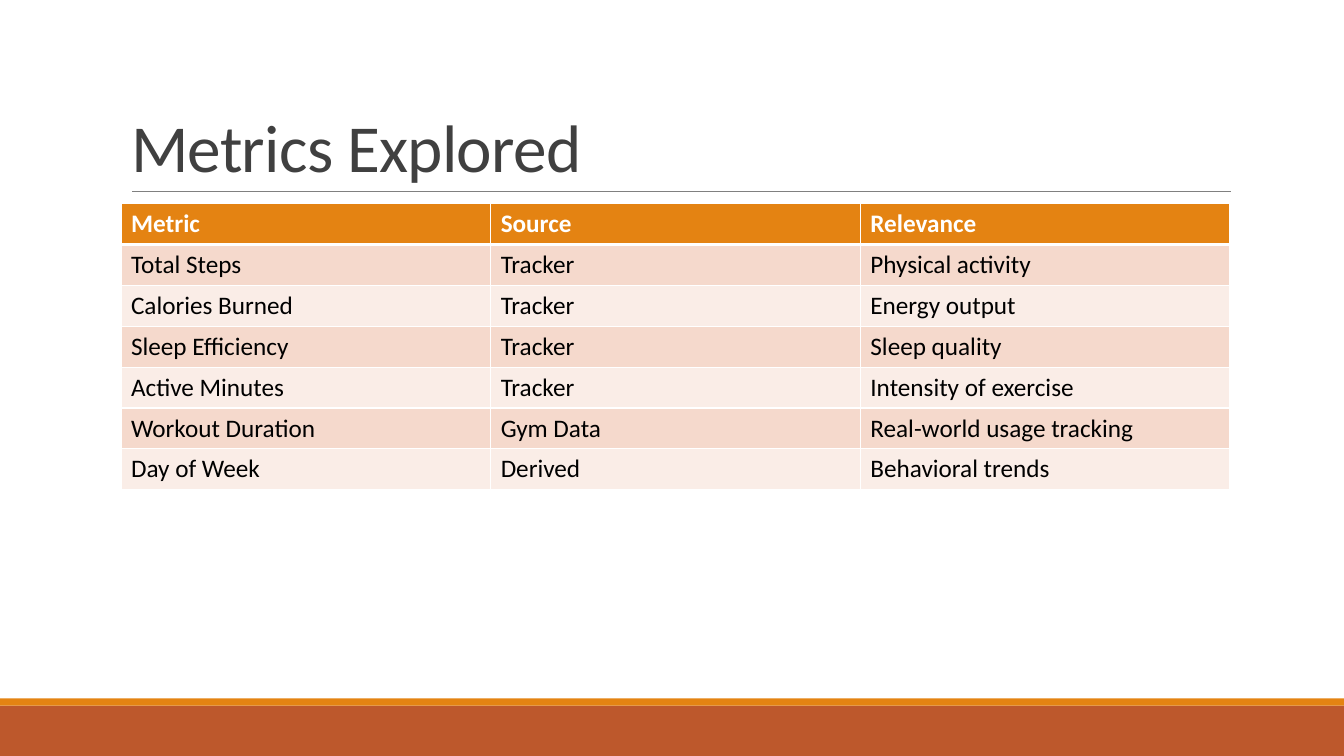
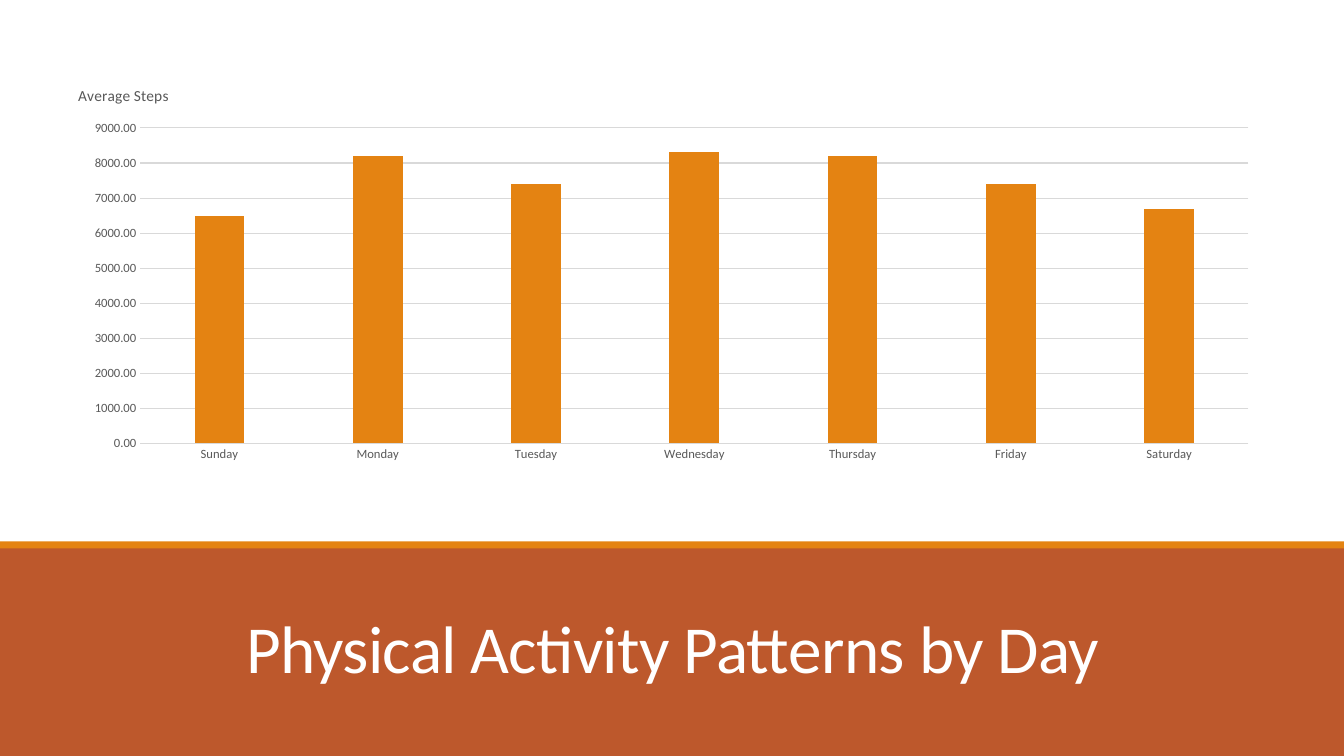
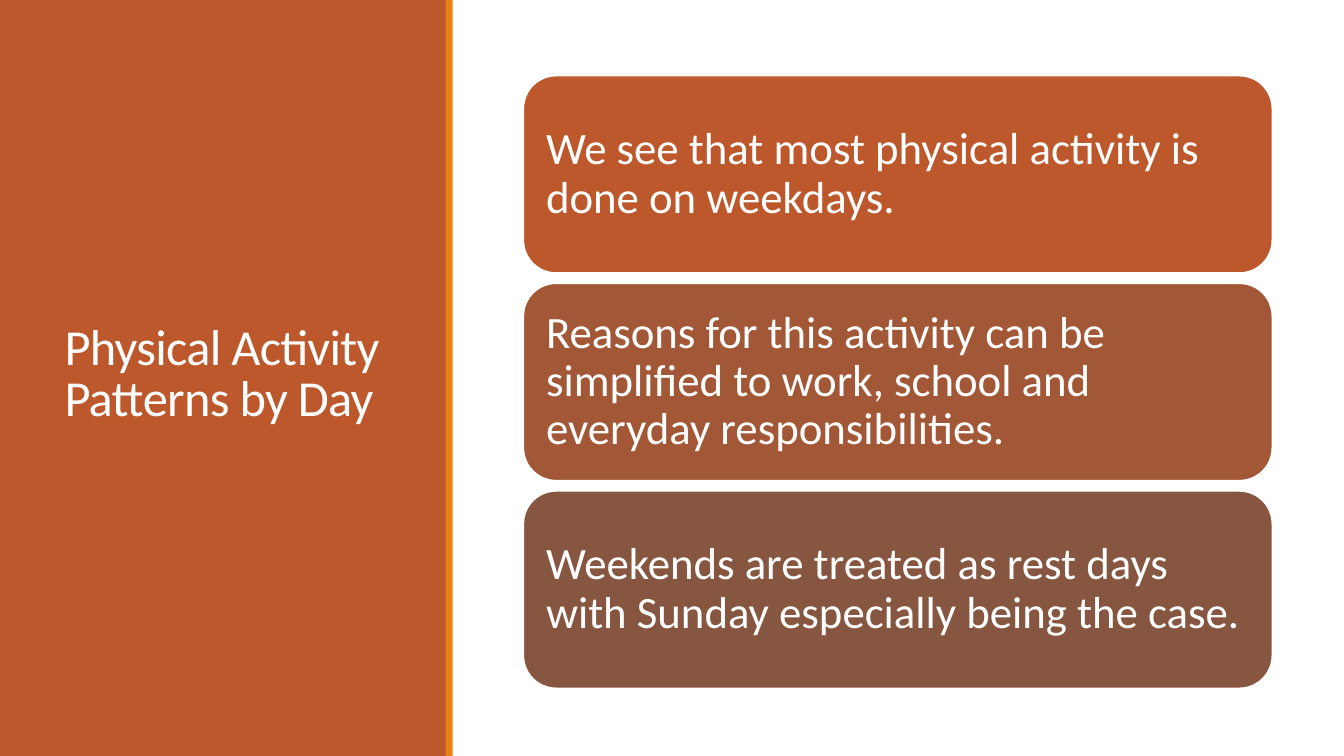
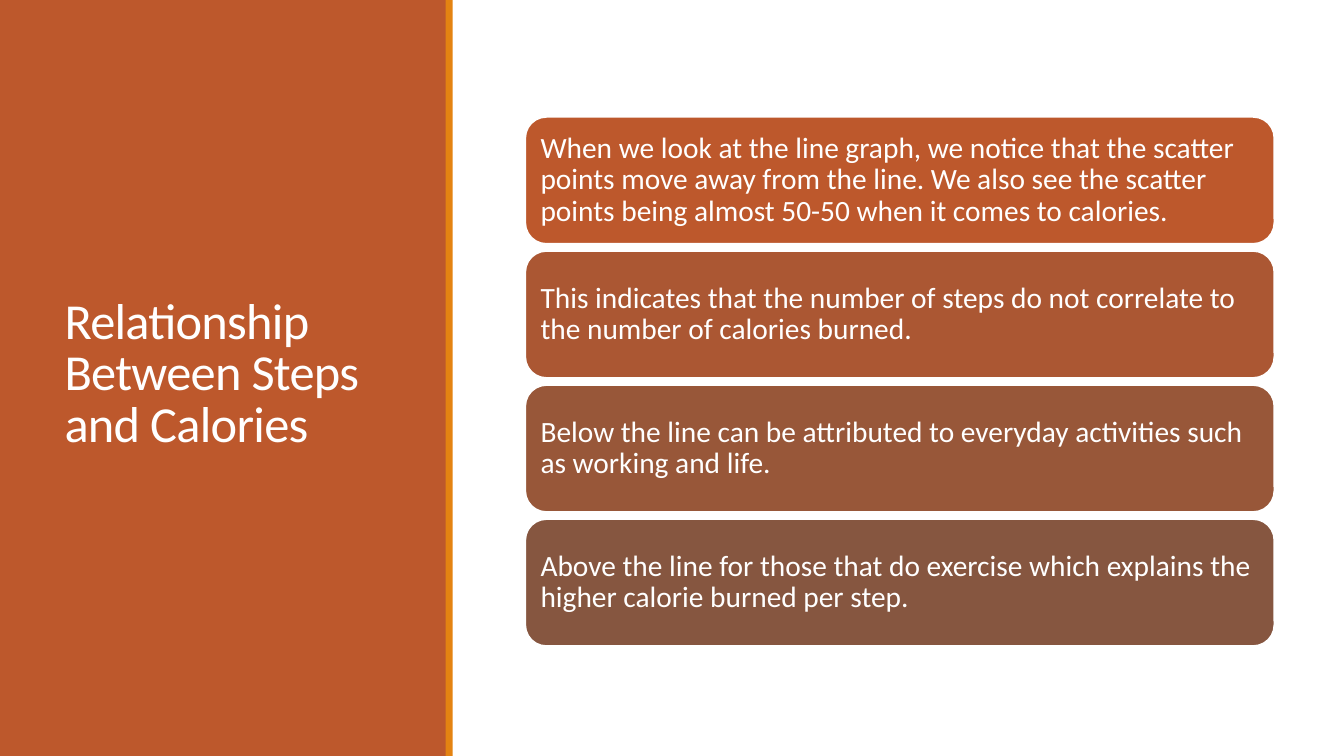
from dataclasses import dataclass

from lxml.etree import SubElement
from pptx import Presentation
from pptx.chart.data import CategoryChartData
from pptx.dml.color import RGBColor
from pptx.enum.chart import XL_CHART_TYPE, XL_TICK_MARK
from pptx.enum.shapes import MSO_CONNECTOR, MSO_SHAPE
from pptx.enum.text import MSO_ANCHOR, MSO_AUTO_SIZE, PP_ALIGN
from pptx.oxml.ns import qn
from pptx.util import Inches, Pt


@dataclass(frozen=True)
class Theme:
    """Colours, type sizes and measures shared by the slides."""
    font: str = "Calibri"
    rust: str = "BD582C"
    brown: str = "865640"
    orange: str = "E48312"
    white: str = "FFFFFF"
    black: str = "000000"
    heading: str = "404040"
    rule: str = "808080"
    label: str = "595959"
    grid: str = "D9D9D9"
    rows: tuple = ("F5D9CC", "FAEDE7")
    title: int = 48
    side_title: int = 36
    table: int = 18
    chart_title: int = 11
    chart: int = 10
    axis: int = 9
    width: float = 13.33
    height: float = 7.5
    stripe: float = 0.07


T = Theme()

METRICS = [
    ("Metric", "Source", "Relevance"),
    ("Total Steps", "Tracker", "Physical activity"),
    ("Calories Burned", "Tracker", "Energy output"),
    ("Sleep Efficiency", "Tracker", "Sleep quality"),
    ("Active Minutes", "Tracker", "Intensity of exercise"),
    ("Workout Duration", "Gym Data", "Real-world usage tracking"),
    ("Day of Week", "Derived", "Behavioral trends"),
]
STEPS = {"Sunday": 6500, "Monday": 8200, "Tuesday": 7400, "Wednesday": 8300,
         "Thursday": 8200, "Friday": 7400, "Saturday": 6700}
DAY_NOTES = [
    "We see that most physical activity is done on weekdays.",
    "Reasons for this activity can be simplified to work, school and everyday responsibilities.",
    "Weekends are treated as rest days with Sunday especially being the case.",
]
CALORIE_NOTES = [
    "When we look at the line graph, we notice that the scatter points move away from the line. "
    "We also see the scatter points being almost 50-50 when it comes to calories.",
    "This indicates that the number of steps do not correlate to the number of calories burned.",
    "Below the line can be attributed to everyday activities such as working and life.",
    "Above the line for those that do exercise which explains the higher calorie burned per step.",
]


def rgb(color):
    """Turn a hex string into a colour."""
    return RGBColor.from_string(color)


def emu(*lengths):
    """Turn inches into lengths."""
    return [Inches(v) for v in lengths]


def set_font(font, size, color, bold=False):
    """Format a font."""
    font.name, font.size, font.bold = T.font, Pt(size), bold
    font.color.rgb = rgb(color)


def set_line(line, color, width):
    """Format a line."""
    line.color.rgb = rgb(color)
    line.width = Pt(width)


def write(tf, text, size, color, bold=False, align=PP_ALIGN.LEFT,
          anchor=MSO_ANCHOR.MIDDLE, spacing=1.0, tracking=0):
    """Put one formatted paragraph into a text frame."""
    tf.word_wrap = True
    tf.vertical_anchor = anchor
    p = tf.paragraphs[0]
    p.alignment, p.line_spacing = align, spacing
    r = p.add_run()
    r.text = text
    set_font(r.font, size, color, bold)
    if tracking:
        r.font._element.set("spc", str(tracking))


def add_box(s, box, fill, kind=MSO_SHAPE.RECTANGLE):
    """Add a plain filled shape."""
    sp = s.shapes.add_shape(kind, *emu(*box))
    sp.shadow.inherit = False
    sp.fill.solid()
    sp.fill.fore_color.rgb = rgb(fill)
    sp.line.fill.background()
    return sp


def add_band(s, box, stripe):
    """Add a rust band with its orange stripe."""
    add_box(s, box, T.rust)
    add_box(s, stripe, T.orange)


def add_bottom_band(s, top, stripe_top):
    """Add a band from the given height down to the foot of the slide."""
    add_band(s, (0, top, T.width, T.height - top), (0, stripe_top, T.width, T.stripe))


def set_title(s, text, box, **fmt):
    """Place the title in front of the bands and format it."""
    sp = s.shapes.title
    s.shapes.element.append(sp.element)
    sp.left, sp.top, sp.width, sp.height = emu(*box)
    sp.text_frame.auto_size = MSO_AUTO_SIZE.NONE
    write(sp.text_frame, text, spacing=0.85, tracking=-50, **fmt)


def add_rule(s, x1, x2, y):
    """Add the thin horizontal rule under a title."""
    line = s.shapes.add_connector(MSO_CONNECTOR.STRAIGHT, *emu(x1, y, x2, y))
    set_line(line.line, T.rule, 0.5)
    SubElement(line.element.spPr, qn("a:effectLst"))


def set_borders(cell, bottom):
    """Give a cell white borders, with its own width at the bottom."""
    tc_pr = cell._tc.get_or_add_tcPr()
    for side, width in (("L", 1), ("R", 1), ("T", 1), ("B", bottom)):
        ln = SubElement(tc_pr, qn(f"a:ln{side}"), w=str(Pt(width)))
        SubElement(SubElement(ln, qn("a:solidFill")), qn("a:srgbClr"), val=T.white)


def add_metrics_table(s, box, rows):
    """Add a table with a header row and alternating row fills."""
    x, y, w, h = box
    table = s.shapes.add_table(len(rows), len(rows[0]), *emu(*box)).table
    for col in table.columns:
        col.width = Inches(w / len(rows[0]))
    for i, values in enumerate(rows):
        head = i == 0
        table.rows[i].height = Inches(h / len(rows))
        for j, value in enumerate(values):
            cell = table.cell(i, j)
            set_borders(cell, 3 if head else 1)
            cell.fill.solid()
            cell.fill.fore_color.rgb = rgb(T.orange if head else T.rows[(i - 1) % 2])
            cell.vertical_anchor = MSO_ANCHOR.MIDDLE
            write(cell.text_frame, value, T.table, T.white if head else T.black, bold=head)


def set_layout(parent, index, **values):
    """Place a chart part at fractions of the chart's size."""
    for old in parent.findall(qn("c:layout")):
        parent.remove(old)
    layout = parent.makeelement(qn("c:layout"))
    parent.insert(index, layout)
    manual = SubElement(layout, qn("c:manualLayout"))
    for name, value in values.items():
        SubElement(manual, qn(f"c:{name}"), val=str(value))


def add_steps_chart(s, box, steps):
    """Add the column chart of average steps by day."""
    data = CategoryChartData(number_format="0.00")
    data.categories = list(steps)
    data.add_series("Series 1", list(steps.values()))
    chart = s.shapes.add_chart(XL_CHART_TYPE.COLUMN_CLUSTERED, *emu(*box), data).chart
    set_font(chart.font, T.chart, T.black)
    chart.has_legend = False
    chart.has_title = True
    title = chart.chart_title
    title.include_in_layout = False
    write(title.text_frame, "Average Steps", T.chart_title, T.label)
    set_layout(chart.element.find(".//" + qn("c:title")), 1,
               xMode="edge", yMode="edge", x=0.004, y=0.03)
    set_layout(chart.element.find(".//" + qn("c:plotArea")), 0, layoutTarget="inner",
               xMode="edge", yMode="edge", x=0.058, y=0.144, w=0.922, h=0.79)

    plot = chart.plots[0]
    plot.gap_width, plot.overlap, plot.vary_by_categories = 219, -27, False
    fill = plot.series[0].format.fill
    fill.solid()
    fill.fore_color.rgb = rgb(T.orange)

    cat, val = chart.category_axis, chart.value_axis
    for axis in (cat, val):
        axis.major_tick_mark = axis.minor_tick_mark = XL_TICK_MARK.NONE
        set_font(axis.tick_labels.font, T.axis, T.label)
    set_line(cat.format.line, T.grid, 0.75)
    val.format.line.fill.background()
    set_line(val.major_gridlines.format.line, T.grid, 0.75)
    val.minimum_scale, val.maximum_scale, val.major_unit = 0, 9000, 1000
    val.tick_labels.number_format = "0.00"
    val.tick_labels.number_format_is_linked = False


def blend(start, end, share):
    """Mix two hex colours."""
    pairs = zip(rgb(start), rgb(end))
    return str(RGBColor(*(round(a + (b - a) * share) for a, b in pairs)))


def add_notes_stack(s, box, notes, size, gap, inset):
    """Stack equal rounded boxes that shade from rust to brown."""
    x, y, w, h = box
    n = len(notes)
    note_h = (h - gap * (n - 1)) / n
    for i, note in enumerate(notes):
        sp = add_box(s, (x, y + i * (note_h + gap), w, note_h),
                     blend(T.rust, T.brown, i / (n - 1)), MSO_SHAPE.ROUNDED_RECTANGLE)
        set_line(sp.line, T.white, 1.25)
        tf = sp.text_frame
        tf.margin_left = tf.margin_top = tf.margin_right = tf.margin_bottom = Inches(inset)
        write(tf, note, size, T.white, spacing=0.9)


def table_slide(s):
    """Build the slide with the metrics table."""
    add_bottom_band(s, 7, 6.93)
    add_rule(s, 1.31, 12.21, 1.9)
    set_title(s, "Metrics Explored", (1.2, 0.31, 11, 1.59), size=T.title,
              color=T.heading, anchor=MSO_ANCHOR.BOTTOM)
    add_metrics_table(s, (1.2, 2.02, 11, 2.84), METRICS)


def chart_slide(s):
    """Build the slide with the steps chart."""
    add_bottom_band(s, 5.42, 5.37)
    set_title(s, "Physical Activity Patterns by Day", (1.17, 5.74, 11, 1.13), size=T.title,
              color=T.white, align=PP_ALIGN.CENTER, anchor=MSO_ANCHOR.BOTTOM)
    add_steps_chart(s, (0.7, 0.7, 11.92, 3.96), STEPS)


def notes_slide(s, title, box, notes, **fmt):
    """Build a slide with a side title and a stack of notes."""
    add_band(s, (0, 0, 4.43, T.height), (4.42, 0, T.stripe, T.height))
    set_title(s, title, (0.54, 0.57, 3.37, 6.31), size=T.side_title, color=T.white)
    add_notes_stack(s, box, notes, **fmt)


def main():
    """Build and save the presentation."""
    prs = Presentation()
    prs.slide_width, prs.slide_height = emu(T.width, T.height)
    title_only = prs.slide_layouts[5]

    def new_slide():
        """Add a title-only slide."""
        return prs.slides.add_slide(title_only)

    table_slide(new_slide())
    chart_slide(new_slide())
    notes_slide(new_slide(), "Physical Activity Patterns by Day", (5.19, 0.75, 7.43, 6.08),
                DAY_NOTES, size=32, gap=0.1, inset=0.13)
    notes_slide(new_slide(), "Relationship Between Steps and Calories",
                (5.21, 1.16, 7.43, 5.25), CALORIE_NOTES, size=21, gap=0.07, inset=0.09)
    prs.save("out.pptx")


if __name__ == "__main__":
    main()
